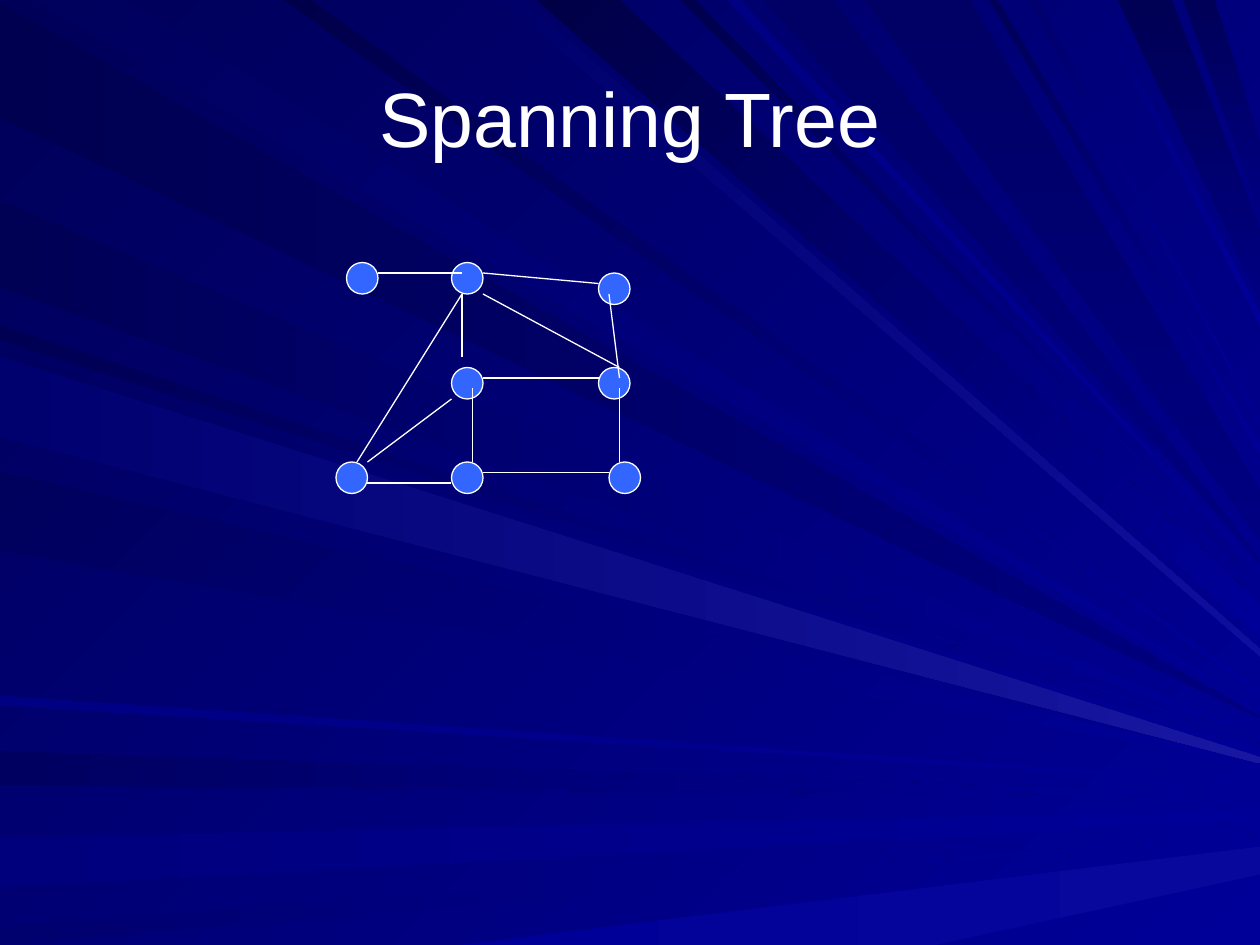
from typing import NamedTuple

from lxml.etree import SubElement
from pptx import Presentation
from pptx.dml.color import RGBColor
from pptx.enum.shapes import MSO_CONNECTOR as Connector, MSO_SHAPE as Shape
from pptx.enum.text import MSO_ANCHOR as Anchor, PP_ALIGN as Align
from pptx.oxml.ns import qn
from pptx.util import Cm, Pt

WHITE = "FFFFFF"
NODE_BLUE = "3366FF"
NODE_SIZE = 3
WIDTH, HEIGHT = 10, 7.5
ACROSS, DIAGONAL, DOWN = 0, 45, 90


class Ray(NamedTuple):
    """A beam from one slide edge to the right edge, in inches."""
    edge: str
    start: float
    width: float
    end: float
    first: str
    last: str
    angle: int = DIAGONAL
    spread: float = 0.01


RAYS = [
    Ray("left", 0.02, 0.91, 5.69, "000051", "000080", ACROSS),
    Ray("top", 0.26, 0.75, 5.62, "00005D", "000099"),
    Ray("left", 5.96, 0.27, 6.31, "000061", "000099", ACROSS),
    Ray("left", 6.65, 0.39, 6.43, "00007D", "000099", ACROSS, 0.08),
    Ray("left", 7.35, 0.15, 6.62, "00006F", "000099", ACROSS),
    Ray("bottom", 3.64, 3.78, 6.72, "000099", "08089C", ACROSS, 0.22),
    Ray("left", 2.58, 0.12, 5.88, "000053", "000099"),
    Ray("left", 1.59, 0.69, 5.84, "000055", "000099", ACROSS),
    Ray("top", 3.98, 0.18, 5.15, "00006B", "0F0F9F", spread=0.06),
    Ray("top", 4.26, 0.66, 4.79, "000047", "000099", spread=0.28),
    Ray("top", 5.4, 0.12, 4.62, "00004F", "000099"),
    Ray("top", 6.06, 0.55, 4.45, "000065", "000080", DOWN),
    Ray("top", 8.87, 0.43, 1.83, "000055", "000080", DOWN, 0.54),
    Ray("top", 9.39, 0.25, 1.14, "000059", "000080", DOWN, 0.53),
    Ray("left", 2.78, 0.64, 5.96, "000061", "000099", spread=0.06),
    Ray("left", 3.74, 0.63, 6.05, "00005D", "000099"),
    Ray("left", 5.52, 0.08, 6.21, "000082", "000099", ACROSS),
    Ray("top", 2.25, 0.22, 5.47, "00004A", "000099", spread=0.05),
    Ray("top", 5.77, 0.11, 4.53, "000082", "000099"),
    Ray("top", 6.86, 0.84, 3.9, "000065", "000080", DOWN, 0.38),
    Ray("top", 7.85, 0.07, 3.54, "000058", "000099", spread=0.06),
    Ray("top", 8.15, 0.09, 3.35, "00006F", "000099"),
    Ray("top", 8.65, 0.07, 2.49, "000079", "000099", spread=0.09),
    Ray("left", 2.83, 0.64, 6.01, "00006F", "1717A2", ACROSS, 0.05),
]

# The graph sits on a grid of twelfths of an inch
NODE_ROWS = {25: [33, 43], 26: [57], 35: [43, 57], 44: [32, 43, 58]}
LEVEL_EDGES = {26: (36, 44), 36: (46, 57), 45: (46, 58), 46: (35, 43)}
UPRIGHT_EDGES = {44: (28, 34), 45: (37, 44), 59: (37, 44)}
SLANTED_EDGES = [
    (35, 44, 43, 38), (34, 44, 44, 28), (59, 35, 46, 28),
    (58, 28, 59, 36), (46, 26, 57, 27),
]


def rgb(value):
    return RGBColor.from_string(value)


def inches(value):
    return Cm(value * 2.54)


def grid(value):
    return inches(value / 12)


def paint(fill, first, last, angle):
    """Fill with a gradient whose angle turns clockwise."""
    fill.gradient()
    fill.gradient_angle = -angle % 360
    for stop, color in zip(fill.gradient_stops, (first, last)):
        stop.color.rgb = rgb(color)


def outline(line):
    line.color.rgb = rgb(WHITE)
    line.width = Pt(0.75)


def ray_corners(ray):
    begins = [ray.start, ray.start + ray.width]
    ends = [(WIDTH, ray.end + ray.spread), (WIDTH, ray.end)]
    if ray.edge == "left":
        return [(0, y) for y in begins] + ends
    if ray.edge == "bottom":
        return [(x, HEIGHT) for x in begins] + ends
    return [(x, 0) for x in begins] + ends[::-1]


def add_ray(page, ray):
    start, *others = [(inches(x), inches(y)) for x, y in ray_corners(ray)]
    builder = page.shapes.build_freeform(*start)
    builder.add_line_segments(others, close=True)
    beam = builder.convert_to_shape()
    beam.shadow.inherit = False
    beam.line.fill.background()
    paint(beam.fill, ray.first, ray.last, ray.angle)


def add_text(page, text, left, top, width, height, size, color, font="Arial"):
    box = page.shapes.add_textbox(left, top, width, height)
    frame = box.text_frame
    frame.word_wrap = True
    frame.vertical_anchor = Anchor.MIDDLE
    para = frame.paragraphs[0]
    para.alignment = Align.CENTER
    span = para.add_run()
    span.text = text
    span.font.name = font
    span.font.size = Pt(size)
    span.font.color.rgb = rgb(color)


def add_node(page, left, top):
    node = page.shapes.add_shape(Shape.OVAL, grid(left), grid(top), grid(NODE_SIZE), grid(NODE_SIZE))
    node.shadow.inherit = False
    node.fill.solid()
    node.fill.fore_color.rgb = rgb(NODE_BLUE)
    outline(node.line)


def add_edge(page, *ends):
    edge = page.shapes.add_connector(Connector.STRAIGHT, *map(grid, ends))
    outline(edge.line)
    SubElement(edge.element.spPr, qn("a:effectLst"))


def main():
    deck = Presentation()
    deck.slide_width, deck.slide_height = inches(WIDTH), inches(HEIGHT)
    page = deck.slides.add_slide(deck.slide_layouts[6])
    paint(page.background.fill, "000058", "000099", DIAGONAL)
    for ray in RAYS:
        add_ray(page, ray)
    add_text(page, "Spanning Tree", Cm(1.27), Cm(0.76), Cm(22.86), Cm(3.18), size=44, color=WHITE)
    for top, lefts in NODE_ROWS.items():
        for left in lefts:
            add_node(page, left, top)
    for y, (left, right) in LEVEL_EDGES.items():
        add_edge(page, left, y, right, y)
    for x, (top, bottom) in UPRIGHT_EDGES.items():
        add_edge(page, x, top, x, bottom)
    for ends in SLANTED_EDGES:
        add_edge(page, *ends)
    deck.save("out.pptx")


if __name__ == "__main__":
    main()
